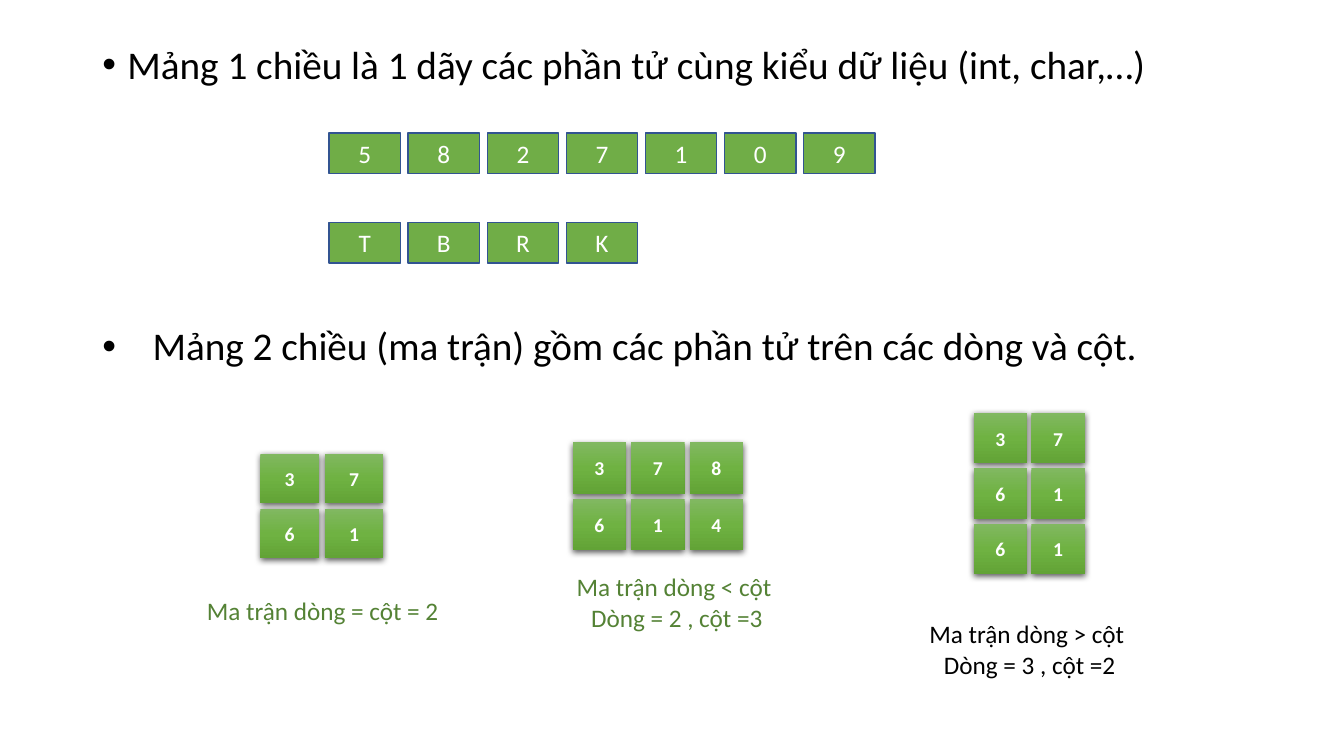
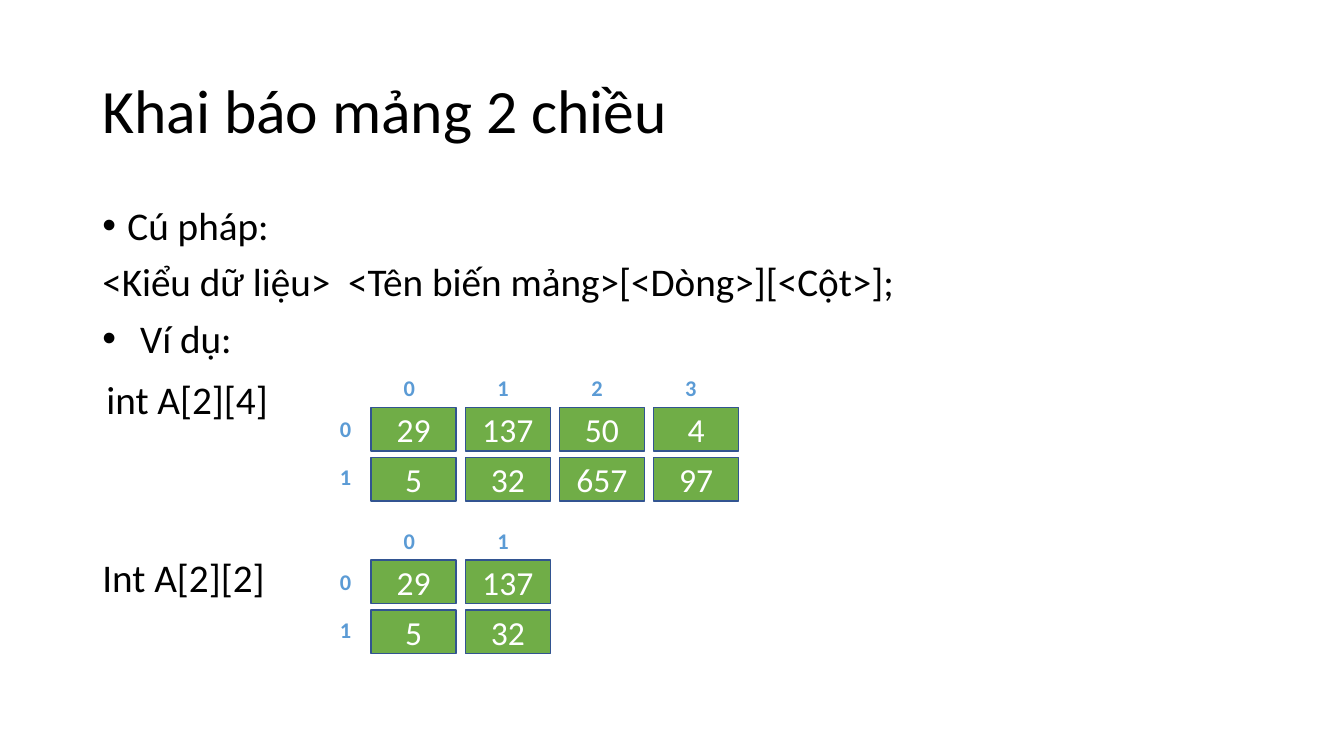
from copy import deepcopy
from dataclasses import dataclass

from lxml import etree
from pptx import Presentation
from pptx.dml.color import RGBColor
from pptx.enum.shapes import MSO_SHAPE
from pptx.enum.text import MSO_ANCHOR, PP_ALIGN
from pptx.oxml.ns import qn
from pptx.util import Pt

RECT = MSO_SHAPE.RECTANGLE
TOP, MIDDLE = MSO_ANCHOR.TOP, MSO_ANCHOR.MIDDLE
LEFT, CENTER = PP_ALIGN.LEFT, PP_ALIGN.CENTER


@dataclass(frozen=True)
class Theme:
    font: str = "Calibri"
    black: str = "000000"
    white: str = "FFFFFF"
    green: str = "70AD47"
    moss: str = "548235"
    edge: str = "325491"
    blue: str = "5B9BD5"
    shade: tuple = ((0, "81B861"), (0.5, "6FB242"), (1, "62A336"))
    title: int = 44
    body: int = 28
    value: int = 24
    small: int = 18
    index: int = 16
    tile: int = 14
    tight: float = 0.9


T = Theme()

# Paragraphs: text, left indent, hanging indent, space before, bullet
KINDS = [
    ("Mảng 1 chiều là 1 dãy các phần tử cùng kiểu dữ liệu (int, char,…)", 18, 18, 10, True),
    ("Mảng 2 chiều (ma trận) gồm các phần tử trên các dòng và cột.", 36, 36, 171, True),
]
ARRAYS = [((235, 95), ["5827109"]), ((235, 159), ["TBRK"])]
# Matrices: place, cell size, pitch, rows
MATRICES = [
    ((186, 324), (41.8, 35.3), (46, 39.5), ["37", "61"]),
    ((409, 316), (38.2, 36.7), (41.8, 40.5), ["378", "614"]),
    ((695.5, 295), (38.2, 36), (41.2, 39.6), ["37", "61", "61"]),
]
CAPTIONS = [
    ((128, 416, 205, 40), ["Ma trận dòng = cột = 2"], T.moss),
    ((390, 400, 187, 60), ["Ma trận dòng < cột ", "Dòng = 2 , cột =3"], T.moss),
    ((642, 427, 187, 73), ["Ma trận dòng > cột ", "Dòng = 3 , cột =2"], T.black),
]

HEADING = "Khai báo mảng 2 chiều"
SYNTAX = [
    ("Cú pháp:", 18, 18, 10, True),
    ("<Kiểu dữ liệu>  <Tên biến mảng>[<Dòng>][<Cột>];", 18, 18, 10, False),
    ("Ví dụ:", 27, 27, 10, True),
    ("int A[2][4]", 16.6, 13.7, 13.5, False),
    ("Int A[2][2]", 18, 18, 97, False),
]
SAMPLES = [
    ((265, 291), [["29", "137", "50", "4"], ["5", "32", "657", "97"]]),
    ((265, 400), [["29", "137"], ["5", "32"]]),
]


def color(code):
    return RGBColor.from_string(code)


def write(shape, lines, *, size, ink=T.black, bold=False, align=CENTER,
          anchor=MIDDLE, spacing=1.0):
    """Fill a shape with lines: plain strings, or paragraph tuples."""
    frame = shape.text_frame
    frame.word_wrap = True
    frame.vertical_anchor = anchor
    for i, line in enumerate(lines):
        para = frame.paragraphs[0] if i == 0 else frame.add_paragraph()
        text, left, hang, before, bullet = (line, 0, 0, 0, False) if isinstance(line, str) else line
        para.alignment, para.line_spacing, para.space_before = align, spacing, Pt(before)
        run = para.add_run()
        run.text = text
        font = run.font
        font.name, font.size, font.bold = T.font, Pt(size), bold
        font.color.rgb = color(ink)
        props = para._p.get_or_add_pPr()
        props.set("marL", str(Pt(left)))
        props.set("indent", str(-Pt(hang)))
        if bullet:
            etree.SubElement(props, qn("a:buFont")).set("typeface", "Arial")
            etree.SubElement(props, qn("a:buChar")).set("char", "•")


def label(slide, area, lines, **style):
    write(slide.shapes.add_textbox(*map(Pt, area)), lines, **style)


def box(slide, area, text, *, fill=T.green, edge=None, **style):
    shape = slide.shapes.add_shape(RECT, *map(Pt, area))
    shape.shadow.inherit = False
    if isinstance(fill, str):
        shape.fill.solid()
        shape.fill.fore_color.rgb = color(fill)
    else:
        blend(shape, fill)
        drop(shape)
    if edge:
        shape.line.color.rgb = color(edge)
        shape.line.width = Pt(1)
    else:
        shape.line.fill.background()
    write(shape, [text], **style)


def blend(shape, shade):
    """Give a shape a gradient that runs from top to bottom."""
    shape.fill.gradient()
    shape.fill.gradient_angle = 270
    stops = shape._element.spPr.find(".//" + qn("a:gsLst"))
    while len(stops) < len(shade):
        stops.append(deepcopy(stops[0]))
    for stop, (place, code) in zip(shape.fill.gradient_stops, shade):
        stop.position = place
        stop.color.rgb = color(code)


def drop(shape):
    """Add a soft shadow below a shape."""
    effects = shape._element.spPr.find(qn("a:effectLst"))
    shadow = etree.SubElement(effects, qn("a:outerShdw"), blurRad=str(Pt(4.5)),
                              dist=str(Pt(1.5)), dir="5400000", algn="ctr", rotWithShape="0")
    ink = etree.SubElement(shadow, qn("a:srgbClr"), val=T.black)
    etree.SubElement(ink, qn("a:alpha"), val="63000")


def grid(slide, place, cell, pitch, rows, **style):
    for r, row in enumerate(rows):
        for c, text in enumerate(row):
            area = (place[0] + c * pitch[0], place[1] + r * pitch[1], *cell)
            box(slide, area, text, **style)


def kinds(slide):
    label(slide, (66, 28.8, 828, 458), KINDS, size=T.body, align=LEFT,
          anchor=TOP, spacing=T.tight)
    for place, rows in ARRAYS:
        grid(slide, place, (51, 29), (56.5, 0), rows, edge=T.edge, size=T.small, ink=T.white)
    for place, cell, pitch, rows in MATRICES:
        grid(slide, place, cell, pitch, rows, fill=T.shade, size=T.tile, ink=T.white, bold=True)
    for area, lines, ink in CAPTIONS:
        label(slide, area, lines, size=T.small, ink=ink)


def syntax(slide):
    label(slide, (66, 28.8, 828, 104.4), [HEADING], size=T.title, align=LEFT, spacing=T.tight)
    label(slide, (66, 144, 828, 343), SYNTAX, size=T.body, align=LEFT,
          anchor=TOP, spacing=T.tight)
    index = dict(fill=T.white, size=T.index, ink=T.blue, bold=True)
    for (x, y), rows in SAMPLES:
        cols = [str(c) for c in range(len(rows[0]))]
        nums = [[str(r)] for r in range(len(rows))]
        grid(slide, (x, y), (60.8, 31.2), (67.3, 35.7), rows,
             edge=T.edge, size=T.value, ink=T.white)
        grid(slide, (x - 3, y - 19.6), (60.8, 10.8), (67, 0), [cols], **index)
        grid(slide, (x - 33, y + 5), (29.5, 20.2), (0, 34.3), nums, **index)


def main():
    deck = Presentation()
    deck.slide_width, deck.slide_height = Pt(960), Pt(540)
    for draw in (kinds, syntax):
        draw(deck.slides.add_slide(deck.slide_layouts[6]))
    deck.save("out.pptx")


if __name__ == "__main__":
    main()
